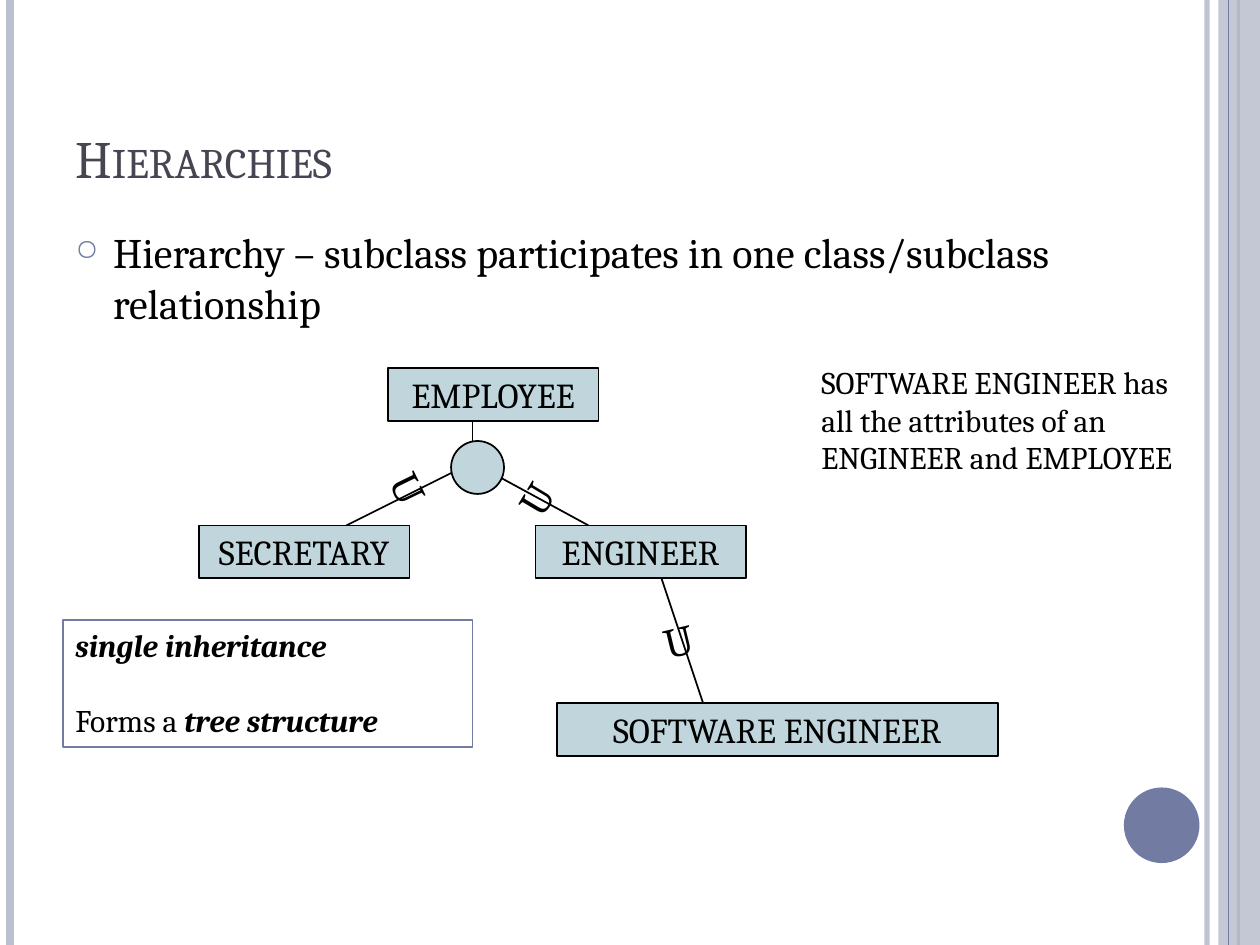
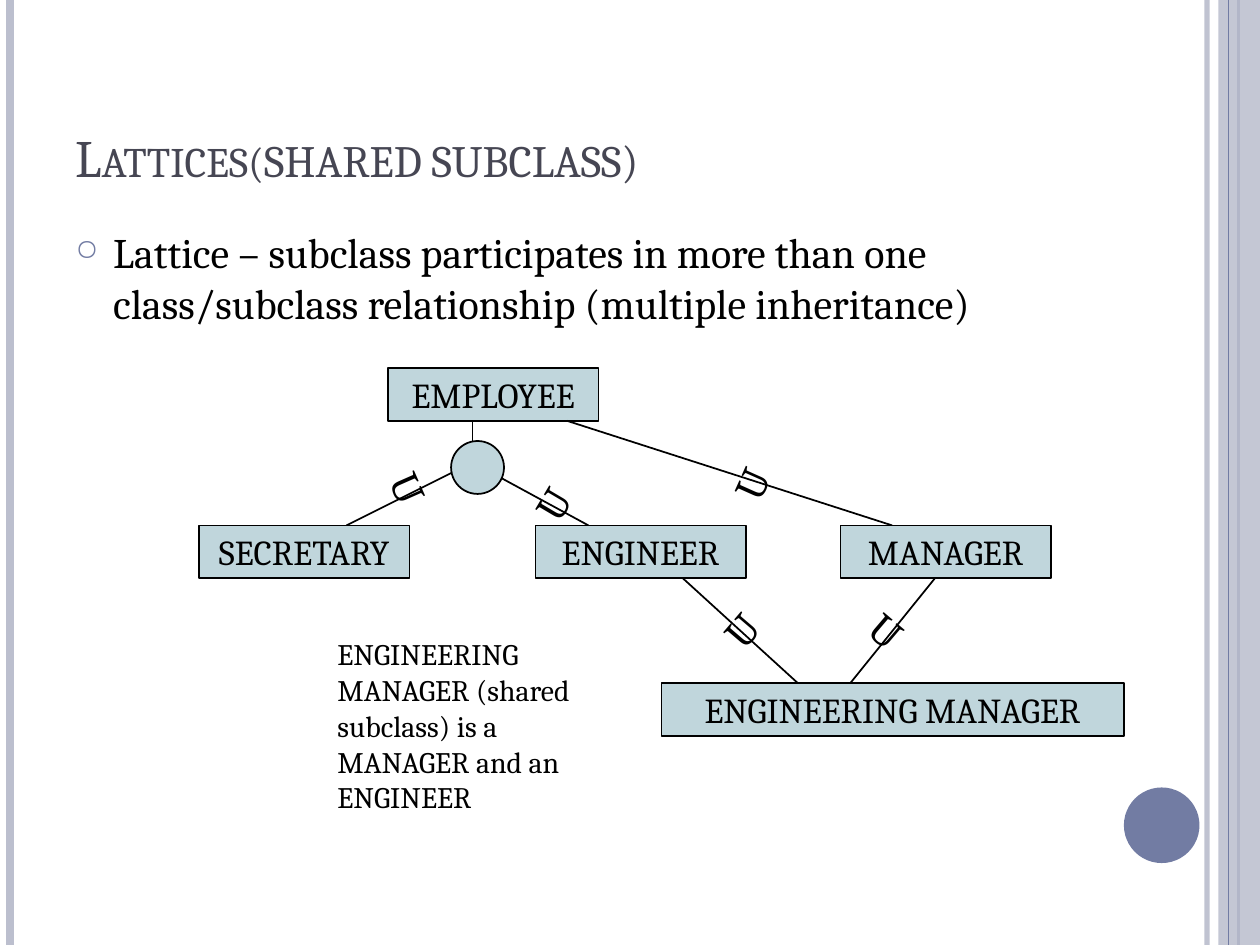
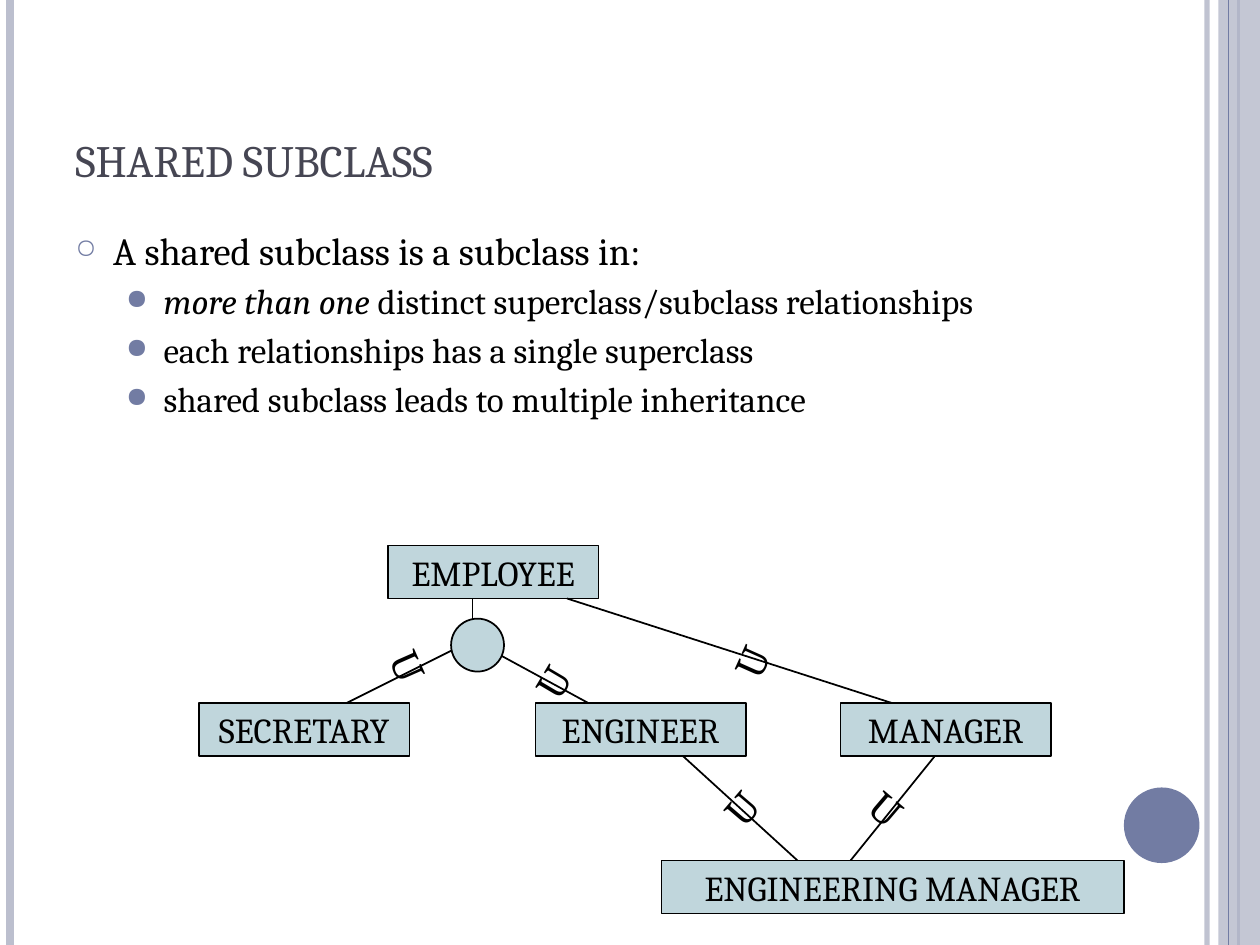
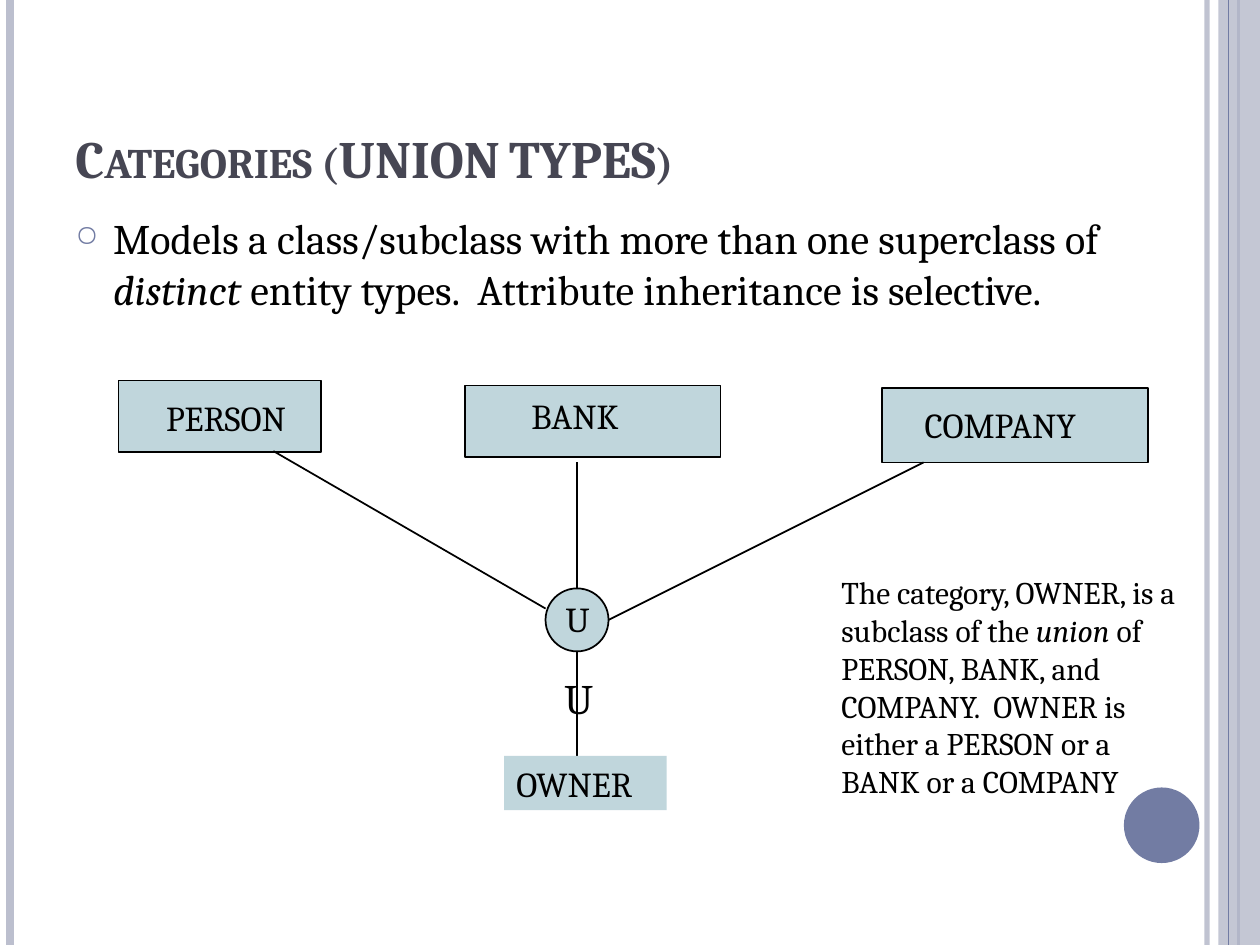
from dataclasses import dataclass
from typing import NamedTuple, Optional

from lxml import etree
from pptx import Presentation
from pptx.dml.color import RGBColor
from pptx.enum import shapes, text
from pptx.oxml.ns import qn
from pptx.util import Inches, Pt


# Theme: colours and type sizes
@dataclass(frozen=True)
class Theme:
    font: str = "Cambria"
    ink: str = "000000"
    heading: str = "464653"
    accent: str = "727CA3"
    band: str = "BCBFCE"
    entity: str = "C0D6DC"
    title_size: float = 30
    title_large: float = 32
    body_size: float = 24
    body_small: float = 22
    entity_size: float = 20
    note_size: float = 18
    note_small: float = 17
    rule: float = 1


THEME = Theme()
PAGE_WIDTH, PAGE_HEIGHT = 10, 7.5
ENTITY_WIDTH, ENTITY_HEIGHT = 1.67, 0.42
LEVEL_STEP = 1.25
SUBSET = "U"


# Repeated elements
class Frame(NamedTuple):
    left: float
    top: float
    width: float
    height: float


class Span(NamedTuple):
    text: str
    bold: bool = False
    italic: bool = False
    size: Optional[float] = None


class Bullet(NamedTuple):
    character: str
    percent: int
    indent: float


class Para(NamedTuple):
    spans: list[Span]
    size: float
    color: str = THEME.ink
    before: float = 0
    align: text.PP_ALIGN = text.PP_ALIGN.LEFT
    bullet: Optional[Bullet] = None
    small_caps: bool = False


class Entity(NamedTuple):
    name: str
    left: float
    top: float
    width: float = ENTITY_WIDTH


class Link(NamedTuple):
    x1: float
    y1: float
    x2: float
    y2: float


class Mark(NamedTuple):
    left: float
    top: float
    angle: float = 0


class Rule(NamedTuple):
    x: float
    color: str
    weight: float
    opacity: int = 100


MAIN_BULLET = Bullet("○", 70, 0.3)
SUB_BULLET = Bullet("●", 80, 0.7)
RECT = shapes.MSO_SHAPE.RECTANGLE
OVAL = shapes.MSO_SHAPE.OVAL


# Drawing helpers
def set_opacity(item, percent: int) -> None:
    if percent < 100:
        color = next(item._element.iter(qn("a:srgbClr")))
        etree.SubElement(color, qn("a:alpha")).set("val", str(percent * 1000))


def set_bullet(para, bullet: Bullet) -> None:
    props = para._p.get_or_add_pPr()
    props.set("marL", str(Inches(bullet.indent)))
    props.set("indent", str(Inches(-0.3)))
    color = etree.SubElement(props, qn("a:buClr"))
    etree.SubElement(color, qn("a:srgbClr")).set("val", THEME.accent)
    etree.SubElement(props, qn("a:buSzPct")).set("val", str(bullet.percent * 1000))
    etree.SubElement(props, qn("a:buChar")).set("char", bullet.character)


def write(box, paras: list[Para], anchor=text.MSO_ANCHOR.TOP) -> None:
    frame = box.text_frame
    frame.word_wrap = True
    frame.vertical_anchor = anchor
    for index, content in enumerate(paras):
        para = frame.add_paragraph() if index else frame.paragraphs[0]
        if content.bullet:
            set_bullet(para, content.bullet)
        para.alignment = content.align
        para.space_before = Pt(content.before)
        para.font.name = THEME.font
        para.font.size = Pt(content.size)
        para.font.color.rgb = RGBColor.from_string(content.color)
        for part in content.spans:
            span = para.add_run()
            span.text = part.text
            if part.bold:
                span.font.bold = True
            if part.italic:
                span.font.italic = True
            if part.size:
                span.font.size = Pt(part.size)
            if content.small_caps:
                span._r.get_or_add_rPr().set("cap", "small")


def add_text(page, frame: Frame, paras: list[Para], anchor=text.MSO_ANCHOR.TOP):
    box = page.shapes.add_textbox(*map(Inches, frame))
    write(box, paras, anchor)
    return box


def add_shape(page, kind, frame: Frame, fill: Optional[str] = THEME.entity,
              line: Optional[str] = THEME.ink, weight: float = THEME.rule):
    shape = page.shapes.add_shape(kind, *map(Inches, frame))
    shape.shadow.inherit = False
    if fill:
        shape.fill.solid()
        shape.fill.fore_color.rgb = RGBColor.from_string(fill)
    else:
        shape.fill.background()
    if line:
        shape.line.color.rgb = RGBColor.from_string(line)
        shape.line.width = Pt(weight)
    else:
        shape.line.fill.background()
    return shape


def add_link(page, link: Link, color: str = THEME.ink, weight: float = THEME.rule):
    connector = page.shapes.add_connector(
        shapes.MSO_CONNECTOR.STRAIGHT, *map(Inches, link))
    connector.line.color.rgb = RGBColor.from_string(color)
    connector.line.width = Pt(weight)
    etree.SubElement(connector._element.spPr, qn("a:effectLst"))
    return connector


def add_entity(page, entity: Entity) -> None:
    frame = Frame(entity.left, entity.top, entity.width, ENTITY_HEIGHT)
    label = Para([Span(entity.name)], THEME.entity_size, align=text.PP_ALIGN.CENTER)
    write(add_shape(page, RECT, frame), [label], text.MSO_ANCHOR.MIDDLE)


def add_mark(page, mark: Mark) -> None:
    label = Para([Span(SUBSET)], THEME.body_size, align=text.PP_ALIGN.CENTER)
    box = add_text(page, Frame(mark.left, mark.top, 0.42, 0.5), [label])
    box.rotation = mark.angle


def add_rule(page, rule: Rule) -> None:
    line = add_link(page, Link(rule.x, 0, rule.x, PAGE_HEIGHT), rule.color, rule.weight)
    set_opacity(line, rule.opacity)


# Shared page: side bands, corner disc and title
def add_page(deck, title: list[Span], title_size: float = THEME.title_size):
    page = deck.slides.add_slide(deck.slide_layouts[6])
    for rule in (Rule(9.58, THEME.band, 3, 93), Rule(0.08, THEME.band, 4.5),
                 Rule(9.83, THEME.accent, 1.5)):
        add_rule(page, rule)
    band = add_shape(page, RECT, Frame(9.67, 0, 0.33, PAGE_HEIGHT), THEME.band, None)
    set_opacity(band, 87)
    add_rule(page, Rule(9.75, THEME.accent, 0.75))
    add_shape(page, OVAL, Frame(8.92, 6.25, 0.6, 0.6), THEME.accent, None)
    heading = Para(title, title_size, THEME.heading, small_caps=True)
    add_text(page, Frame(0.5, 0.3, 8.17, 1.25), [heading], text.MSO_ANCHOR.BOTTOM)
    return page


def add_body(page, spans: list[Span], top: float = 1.75, width: float = 9) -> None:
    add_text(page, Frame(0.5, top, width, 5.33),
             [Para(spans, THEME.body_size, bullet=MAIN_BULLET)])


# Shared diagrams: every height is measured down from the top entity
def add_diagram(page, top: float, entities: list[Entity], links: list[Link],
                marks: list[Mark]) -> None:
    for link in links:
        add_link(page, Link(link.x1, top + link.y1, link.x2, top + link.y2))
    for entity in entities:
        add_entity(page, entity._replace(top=top + entity.top))
    for mark in marks:
        add_mark(page, mark._replace(top=top + mark.top))


def add_staff_tree(page, top: float) -> None:
    add_diagram(
        page, top,
        [Entity("EMPLOYEE", 3.08, 0), Entity("ENGINEER", 4.25, LEVEL_STEP),
         Entity("SECRETARY", 1.58, LEVEL_STEP)],
        [Link(3.75, 0.75, 2.75, LEVEL_STEP), Link(3.75, 0.75, 4.67, LEVEL_STEP),
         Link(3.75, 0.42, 3.75, 0.58)],
        [])
    add_shape(page, OVAL, Frame(3.58, top + 0.58, 0.42, 0.42))


def add_staff_lattice(page, top: float) -> None:
    add_staff_tree(page, top)
    add_diagram(
        page, top,
        [Entity("MANAGER", 6.67, LEVEL_STEP),
         Entity("ENGINEERING MANAGER", 5.25, 2 * LEVEL_STEP, 3.67)],
        [Link(5.42, 1.67, 6.33, 2.5), Link(6.75, 2.5, 7.42, 1.67),
         Link(4.5, 0.42, 7.08, LEVEL_STEP)],
        [Mark(3.04, 0.7, 66.2), Mark(6.83, 1.83, 40.4), Mark(5.75, 0.67, 294),
         Mark(5.67, 1.83, 310.5), Mark(4.17, 0.83, 300.5)])


# Slide 1: hierarchies
def build_hierarchies(deck) -> None:
    page = add_page(deck, [Span("Hierarchies")])
    add_body(page, [Span("Hierarchy – subclass participates in one "
                         "class/subclass relationship")])
    add_staff_tree(page, 2.92)
    add_diagram(
        page, 2.92,
        [Entity("SOFTWARE ENGINEER", 4.42, 2.66, 3.5)],
        [Link(5.25, 1.67, 5.58, 2.66)],
        [Mark(3.04, 0.7, 64.1), Mark(4.04, 0.79, 300.8), Mark(5.17, 1.91, 346.4)])
    add_text(page, Frame(6.42, 2.83, 3, 1.3), [Para(
        [Span("SOFTWARE ENGINEER has all the attributes of an ENGINEER and EMPLOYEE")],
        THEME.note_size)])
    summary = add_shape(page, RECT, Frame(0.5, 4.92, 3.25, 1.01), None,
                        THEME.accent, 0.75)
    write(summary, [
        Para([Span("single inheritance", bold=True, italic=True)], THEME.note_size),
        Para([Span("Forms a "), Span("tree structure", bold=True, italic=True)],
             THEME.note_size, before=21)])


# Slide 2: lattices
def build_lattices(deck) -> None:
    page = add_page(deck, [Span("Lattices("),
                           Span("shared subclass)", size=THEME.title_large)])
    add_body(page, [Span("Lattice – subclass participates in more than one "
                         "class/subclass relationship (multiple inheritance)")],
             width=8.17)
    add_staff_lattice(page, 2.92)
    add_text(page, Frame(2.58, 5, 2.5, 1.53), [Para(
        [Span("ENGINEERING MANAGER (shared subclass) is a MANAGER and an ENGINEER")],
        THEME.note_small)])


# Slide 3: shared subclass
def build_shared_subclass(deck) -> None:
    page = add_page(deck, [Span("shared subclass")], THEME.title_large)
    add_staff_lattice(page, 4.33)
    points = [
        [Span("more than one", italic=True),
         Span(" distinct superclass/subclass relationships")],
        [Span("each relationships has a single superclass")],
        [Span("shared subclass leads to multiple inheritance")],
    ]
    add_text(page, Frame(0.5, 1.75, 9, 5.33), [
        Para([Span("A shared subclass is a subclass in:")], THEME.body_small,
             bullet=MAIN_BULLET),
        *(Para(spans, THEME.entity_size, before=4, bullet=SUB_BULLET)
          for spans in points)])


# Slide 4: categories
def build_categories(deck) -> None:
    page = add_page(deck, [Span("Categories (UNION TYPES)", bold=True)])
    add_body(page, [
        Span("Models a class/subclass with more than one superclass of "),
        Span("distinct", italic=True),
        Span(" entity types.  Attribute inheritance is selective.")], top=1.64)
    add_shape(page, OVAL, Frame(4.33, 4.67, 0.5, 0.5))
    for frame in (Frame(0.94, 3.02, 1.61, 0.57), Frame(3.69, 3.06, 2.03, 0.57),
                  Frame(7, 3.08, 2.11, 0.59)):
        add_shape(page, RECT, frame)
    for link in (Link(2.17, 3.58, 4.33, 4.83), Link(4.58, 3.67, 4.58, 4.67),
                 Link(7.33, 3.67, 4.83, 4.92), Link(4.58, 5.17, 4.58, 6)):
        add_link(page, link)
    for name, left, top, width in (("PERSON", 1.22, 3.1, 1.33),
                                   ("BANK", 4.12, 3.08, 1.03),
                                   ("COMPANY", 7.24, 3.15, 1.69),
                                   (SUBSET, 4.39, 4.69, 0.42)):
        add_text(page, Frame(left, top, width, 0.43),
                 [Para([Span(name)], THEME.entity_size)])
    owner = add_shape(page, RECT, Frame(4, 6, 1.29, 0.43), line=None)
    write(owner, [Para([Span("OWNER")], THEME.entity_size)])
    add_text(page, Frame(6.58, 4.5, 3, 2.2), [Para([
        Span("The category, OWNER, is a subclass of the "),
        Span("union", italic=True),
        Span(" of PERSON, BANK, and COMPANY.  OWNER is either a PERSON "
             "or a BANK or a COMPANY")], THEME.note_size)])
    add_mark(page, Mark(4.38, 5.29))


# Build and save
def main() -> None:
    deck = Presentation()
    deck.slide_width, deck.slide_height = Inches(PAGE_WIDTH), Inches(PAGE_HEIGHT)
    for build in (build_hierarchies, build_lattices, build_shared_subclass,
                  build_categories):
        build(deck)
    deck.save("out.pptx")


main()
